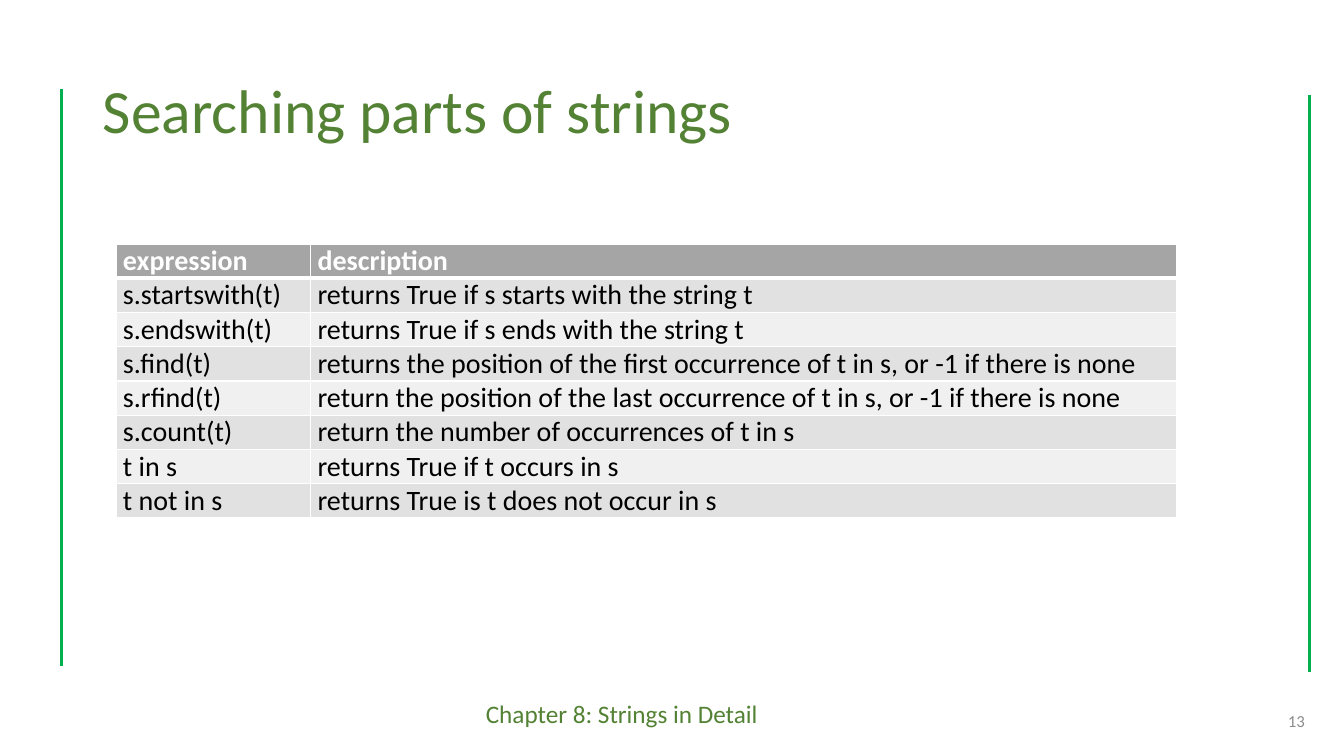
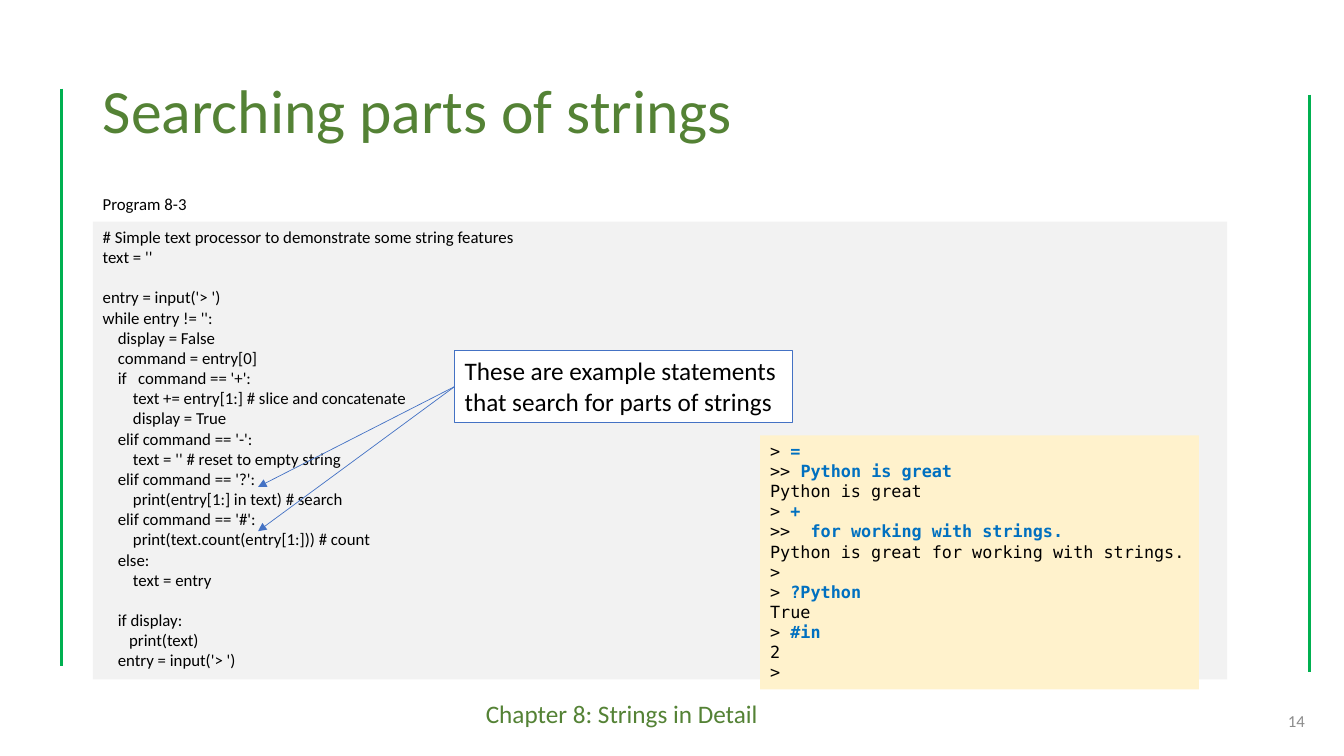
import lxml.etree
import pptx
import pptx.dml.color
import pptx.enum.shapes
import pptx.enum.text
import pptx.oxml
import pptx.oxml.ns
import pptx.util

Inches, Pt = pptx.util.Inches, pptx.util.Pt
qn = pptx.oxml.ns.qn
ALIGN = pptx.enum.text.PP_ALIGN
ANCHOR = pptx.enum.text.MSO_ANCHOR
STRAIGHT = pptx.enum.shapes.MSO_CONNECTOR.STRAIGHT
RECTANGLE = pptx.enum.shapes.MSO_SHAPE.RECTANGLE

COLOURS = {
    "title": "548235", "rail": "00B050", "number": "8C8C8C",
    "black": "000000", "white": "FFFFFF",
    "header": "A5A5A5", "odd": "E1E1E1", "even": "F0F0F0",
    "code": "F2F2F2", "console": "FFF2CC", "typed": "0070C0",
    "callout": "4472C4",
}
SANS, MONO = "Calibri", "DejaVu Sans Mono"
LINE_PITCH = 14.4

METHODS = [
    ("expression", "description"),
    ("s.startswith(t)", "returns True if s starts with the string t"),
    ("s.endswith(t)", "returns True if s ends with the string t"),
    ("s.find(t)", "returns the position of the first occurrence of t in s, or -1 if there is none"),
    ("s.rfind(t)", "return the position of the last occurrence of t in s, or -1 if there is none"),
    ("s.count(t)", "return the number of occurrences of t in s"),
    ("t in s", "returns True if t occurs in s"),
    ("t not in s", "returns True is t does not occur in s"),
]

# An empty line becomes space before the line that follows it
PROGRAM = """# Simple text processor to demonstrate some string features
text = ''

entry = input('> ')
while entry != '':
    display = False
    command = entry[0]
    if   command == '+':
        text += entry[1:] # slice and concatenate
        display = True
    elif command == '-':
        text = '' # reset to empty string
    elif command == '?':
        print(entry[1:] in text) # search
    elif command == '#':
        print(text.count(entry[1:])) # count
    else:
        text = entry

    if display:
       print(text)
    entry = input('> ')"""

# Each console line: what the program prints, then what the user types
SESSION = [
    ("> ", "="), (">> ", "Python is great"), ("Python is great", ""),
    ("> ", "+"), (">>  ", "for working with strings."),
    ("Python is great for working with strings.", ""), (">", ""),
    ("> ", "?Python"), ("True", ""), ("> ", "#in"), ("2", ""), (">", ""),
]


def colour(name):
    return pptx.dml.color.RGBColor.from_string(COLOURS[name])


def add_span(para, text, size, ink="black", font=SANS, bold=False):
    span = para.add_run()
    span.text = text
    span.font.size = Pt(size)
    span.font.name = font
    span.font.bold = bold
    span.font.color.rgb = colour(ink)


def paragraphs(frame, count):
    """Yield the frame's first paragraph, then new ones, up to count."""
    for index in range(count):
        yield frame.add_paragraph() if index else frame.paragraphs[0]


def add_panel(page, box, fill=None, line=None):
    """Rectangle, or plain text box when it has no fill, with top-left text."""
    place = [Inches(length) for length in box]
    if fill:
        panel = page.shapes.add_shape(RECTANGLE, *place)
        panel.shadow.inherit = False
        panel.fill.solid()
        panel.fill.fore_color.rgb = colour(fill)
        if line:
            panel.line.color.rgb = colour(line)
            panel.line.width = Pt(0.75)
        else:
            panel.line.fill.background()
    else:
        panel = page.shapes.add_textbox(*place)
    frame = panel.text_frame
    frame.word_wrap = True
    frame.vertical_anchor = ANCHOR.TOP
    frame.paragraphs[0].alignment = ALIGN.LEFT
    return panel


def add_label(page, box, text, size, ink="black", **look):
    panel = add_panel(page, box, **look)
    add_span(panel.text_frame.paragraphs[0], text, size, ink)
    return panel


def add_line(page, start, end, ink, width):
    line = page.shapes.add_connector(
        STRAIGHT, *[Inches(length) for length in (*start, *end)])
    line.line.color.rgb = colour(ink)
    line.line.width = Pt(width)
    lxml.etree.SubElement(line.element.spPr, qn("a:effectLst"))
    return line


# Shared parts
def dress_layout(layout, page):
    """Build the rails and the footer on a page, then move them to the layout."""
    fixtures = [add_label(page, (4.72, 6.88, 3.96, 0.4),
                          "Chapter 8: Strings in Detail", 18, "title")]
    for x, top in ((0.61, 0.88), (12.99, 0.94)):
        fixtures.append(add_line(page, (x, top), (x, top + 5.73), "rail", 2.25))
    for number, fixture in enumerate(fixtures, 101):
        fixture.element.xpath(".//p:cNvPr")[0].set("id", str(number))
        layout.shapes.element.append(fixture.element)
    title = layout.placeholders[0]
    title.left, title.top = Inches(0.92), Inches(0.4)
    title.width, title.height = Inches(11.5), Inches(1.45)


def add_page_number(page, box, number):
    frame = add_panel(page, box).text_frame
    frame.vertical_anchor = ANCHOR.MIDDLE
    para = frame.paragraphs[0]
    para.alignment = ALIGN.RIGHT
    add_span(para, str(number), 12, "number")
    # Turn the run into a live slide number field
    span = para.runs[0]._r
    span.tag = qn("a:fld")
    span.set("id", "{B6F15528-21DE-4FAA-801E-634DDDAF4B2B}")
    span.set("type", "slidenum")


def add_page(deck, layout, title, number):
    page = deck.slides.add_slide(layout)
    frame = page.shapes.title.text_frame
    frame.word_wrap = True
    frame.auto_size = pptx.enum.text.MSO_AUTO_SIZE.NONE
    frame.vertical_anchor = ANCHOR.MIDDLE
    para = frame.paragraphs[0]
    para.alignment = ALIGN.LEFT
    para.line_spacing = 0.9
    add_span(para, title, 44, "title")
    add_page_number(page, (10.04, 6.95, 3, 0.4), number)
    return page


# Table of string methods
def set_borders(cell, widths):
    properties = cell._tc.get_or_add_tcPr()
    for index, (side, width) in enumerate(widths.items()):
        border = pptx.oxml.parse_xml(
            f'<a:{side} xmlns:a="http://schemas.openxmlformats.org/drawingml/2006/main"'
            f' w="{Pt(width)}"><a:solidFill><a:srgbClr val="{COLOURS["white"]}"/>'
            f'</a:solidFill></a:{side}>')
        properties.insert(index, border)


def add_method_table(page, box):
    left, top, width, height = box
    key_width = 1.93
    table = page.shapes.add_table(
        len(METHODS), 2, *[Inches(length) for length in box]).table
    table.columns[0].width = Inches(key_width)
    table.columns[1].width = Inches(width - key_width)
    for row, texts in enumerate(METHODS):
        table.rows[row].height = Inches(height / len(METHODS))
        header = row == 0
        fill = "header" if header else ("odd" if row % 2 else "even")
        for column, text in enumerate(texts):
            cell = table.cell(row, column)
            cell.margin_left = cell.margin_right = Inches(0.07)
            cell.margin_top = cell.margin_bottom = 0
            cell.fill.solid()
            cell.fill.fore_color.rgb = colour(fill)
            set_borders(cell, {"lnL": 1, "lnR": 1, "lnT": 3 if row == 1 else 1,
                               "lnB": 3 if header else 1})
            add_span(cell.text_frame.paragraphs[0], text, 20,
                     "white" if header else "black", bold=header)


# Program, console session and callout
def add_program(page, box):
    frame = add_panel(page, box, fill="code").text_frame
    lines = PROGRAM.split("\n")
    shown = [(text, index > 0 and not lines[index - 1])
             for index, text in enumerate(lines) if text]
    for para, (text, after_gap) in zip(paragraphs(frame, len(shown)), shown):
        para.alignment = ALIGN.LEFT
        para.line_spacing = Pt(LINE_PITCH)
        if after_gap:
            para.space_before = Pt(LINE_PITCH)
        add_span(para, text, 12)


def add_console(page, box):
    frame = add_panel(page, box, fill="console").text_frame
    for para, (printed, typed) in zip(paragraphs(frame, len(SESSION)), SESSION):
        para.alignment = ALIGN.LEFT
        para.line_spacing = Pt(LINE_PITCH)
        add_span(para, printed, 12, font=MONO)
        if typed:
            add_span(para, typed, 12, "typed", MONO, bold=True)


def add_callout(page, box, text, targets):
    callout = add_label(page, box, text, 18, fill="white", line="callout")
    left, top, width, height = box
    for target in targets:
        arrow = add_line(page, (left, top + height / 2), target, "callout", 0.5)
        arrow.begin_connect(callout, 1)
        outline = arrow.element.spPr.find(qn("a:ln"))
        lxml.etree.SubElement(outline, qn("a:tailEnd"), type="triangle")


def main():
    deck = pptx.Presentation()
    deck.slide_width, deck.slide_height = Inches(13.33), Inches(7.5)
    layout = deck.slide_layouts[5]
    title = "Searching parts of strings"
    first_number = 13
    deck.element.set("firstSlideNum", str(first_number))

    methods_page = add_page(deck, layout, title, first_number)
    dress_layout(layout, methods_page)
    add_method_table(methods_page, (1.15, 2.42, 10.52, 2.72))

    program_page = add_page(deck, layout, title, first_number + 1)
    add_program(program_page, (0.92, 2.2, 11.25, 4.54))
    add_console(program_page, (7.54, 4.32, 4.35, 2.52))
    add_label(program_page, (0.92, 1.87, 2.03, 0.3), "Program 8-3", 12)
    add_callout(program_page, (4.51, 3.48, 3.35, 0.71),
                "These are example statements that search for parts of strings",
                [(2.56, 4.83), (2.56, 5.27)])

    deck.save("out.pptx")


if __name__ == "__main__":
    main()
